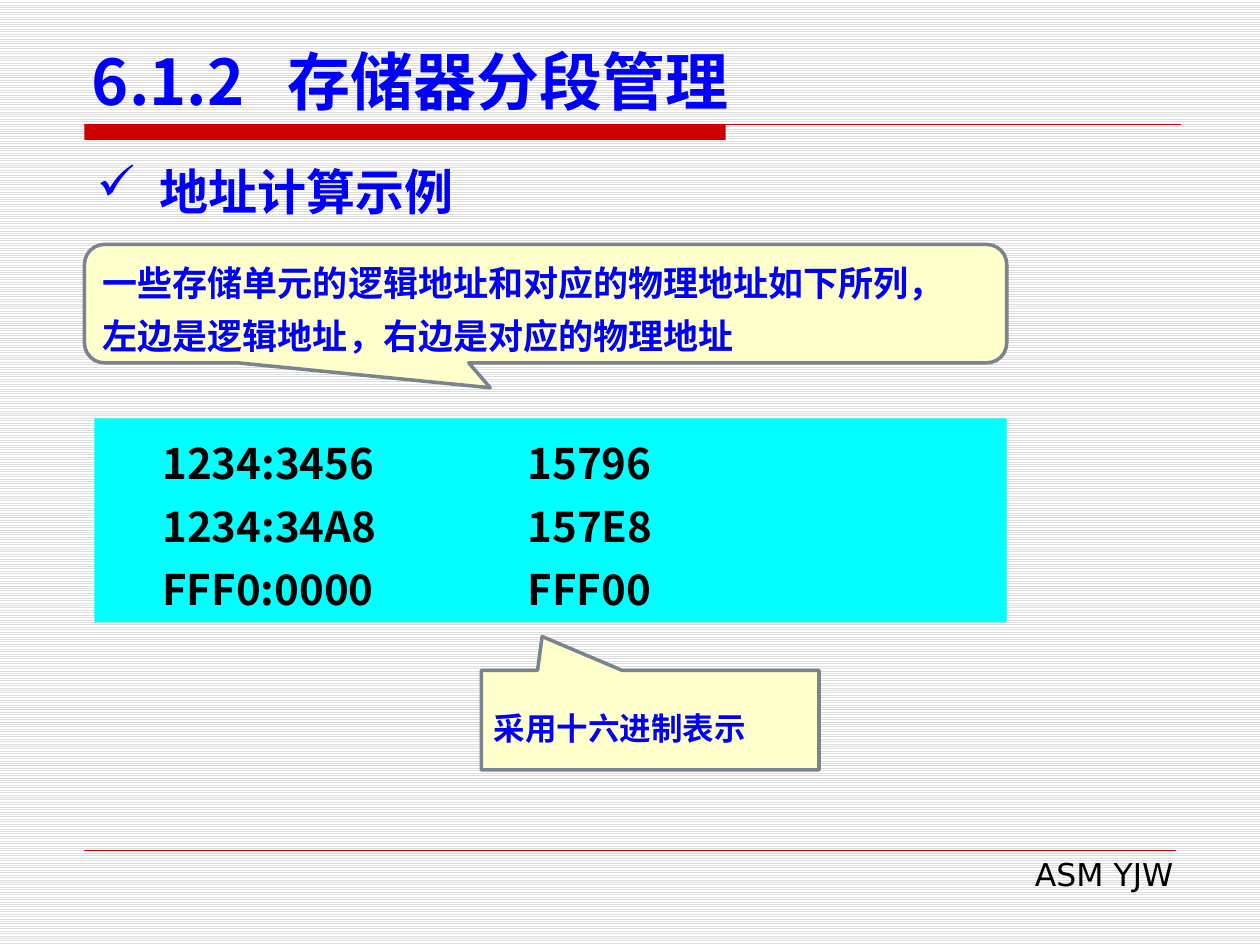
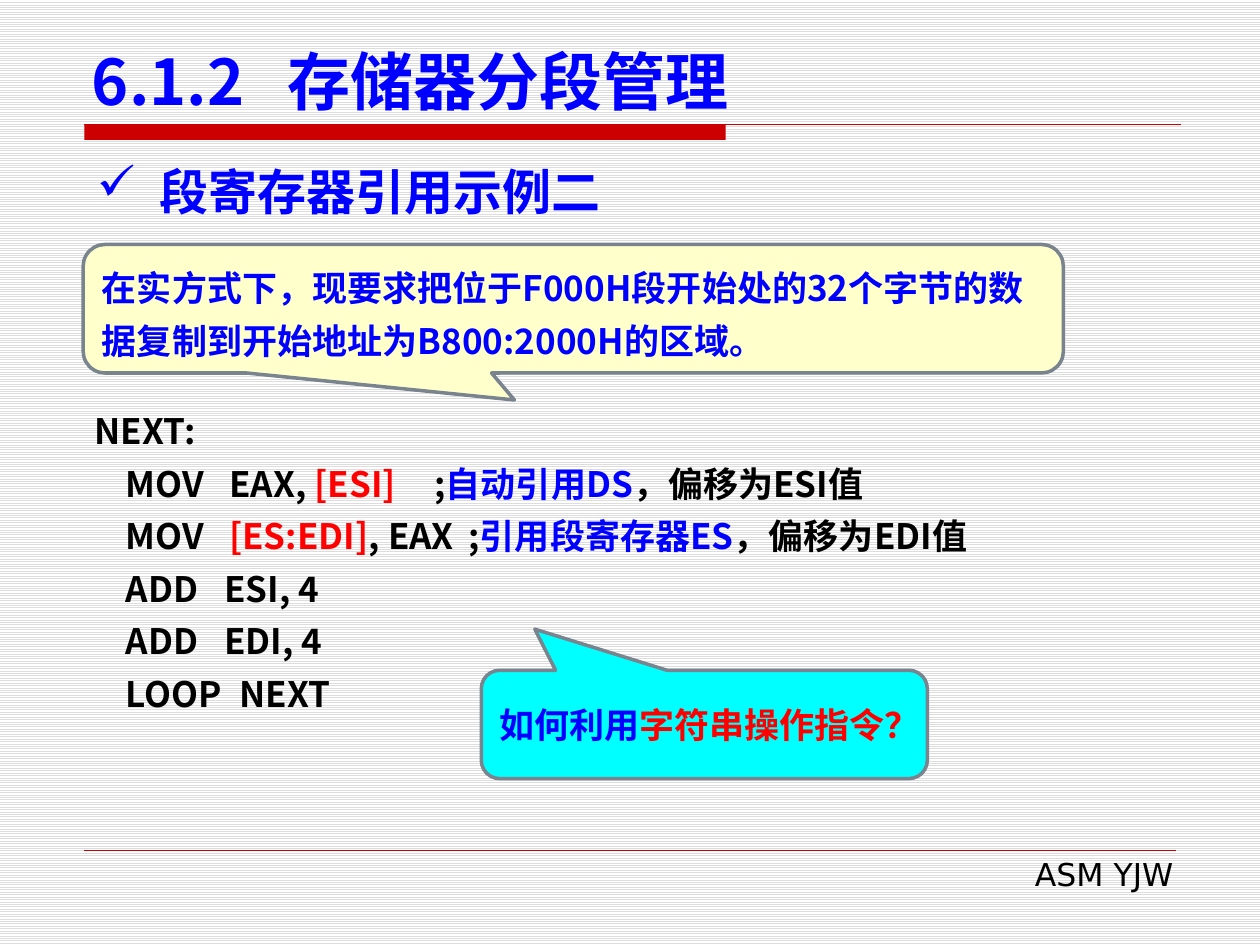
from lxml.etree import SubElement
from pptx import Presentation
from pptx.dml.color import RGBColor
from pptx.enum.dml import MSO_PATTERN
from pptx.enum.shapes import MSO_CONNECTOR, MSO_SHAPE as Shape
from pptx.enum.text import MSO_ANCHOR as Anchor, MSO_AUTO_SIZE as Fit, PP_ALIGN as Align
from pptx.oxml.ns import qn
from pptx.util import Pt

EMU_PER_PX = 9144  # 100 px to the inch
COLORS = {
    "blue": "0000FF", "red": "FF0000", "black": "000000", "rule": "CC0000",
    "cream": "FFFFCC", "cyan": "00FFFF", "edge": "79848F",
    "stripe": "DDDDDD", "paper": "FFFFFF",
}
SANS, CJK = "DejaVu Sans", "Noto Sans CJK SC"
TITLE = "6.1.2\t存储器分段管理"


def px(*lengths):
    return [length * EMU_PER_PX for length in lengths]


def rgb(name):
    return RGBColor.from_string(COLORS[name])


def set_format(target, values):
    for name, value in values.items():
        setattr(target, name, value)


class Deck:
    """Holds the shared style and the slide being filled."""

    def __init__(self):
        self.prs = Presentation()
        self.prs.slide_width, self.prs.slide_height = px(1000, 750)
        self.slide = None

    def start(self, title, topic):
        self.slide = self.prs.slides.add_slide(self.prs.slide_layouts[5])
        backdrop = self.slide.background.fill
        backdrop.patterned()
        backdrop.pattern = MSO_PATTERN.LIGHT_HORIZONTAL
        backdrop.fore_color.rgb, backdrop.back_color.rgb = rgb("stripe"), rgb("paper")

        # Title with its red band
        heading = self.slide.shapes.title
        set_format(heading, dict(zip(("left", "top", "width", "height"), px(63, 33, 875, 66))))
        self.put_text(heading, [title], size=36, color="blue", anchor=Anchor.BOTTOM, stops=[155])
        self.box(Shape.RECTANGLE, (67, 99, 509, 12), "rule")
        self.rule(67, 937, 99, 0.75)

        # Footer
        self.rule(67, 933, 675, 0.25)
        self.text((382, 674, 559, 40), ["ASM YJW"], size=18, font=SANS, bold=False,
                  align=Align.RIGHT, before=50)

        # Topic line
        self.text((67, 123, 866, 57), [topic], size=28, font=SANS, color="blue",
                  align=Align.JUSTIFY, before=50, bullet="✓")

    def rule(self, left, right, y, weight):
        line = self.slide.shapes.add_connector(MSO_CONNECTOR.STRAIGHT, *px(left, y, right, y))
        line.line.color.rgb = rgb("rule")
        line.line.width = Pt(weight)
        SubElement(line._element.spPr, qn("a:effectLst"))

    def box(self, kind, at, fill, edge=None, adjust=()):
        shape = self.slide.shapes.add_shape(kind, *px(*at))
        shape.shadow.inherit = False
        shape.fill.solid()
        shape.fill.fore_color.rgb = rgb(fill)
        if edge:
            shape.line.color.rgb = rgb(edge)
            shape.line.width = Pt(2)
        else:
            shape.line.fill.background()
        for index, value in enumerate(adjust):
            shape.adjustments[index] = value
        return shape

    def callout(self, kind, at, pointer, paragraphs, fill="cream", **style):
        shape = self.box(kind, at, fill, "edge", pointer)
        style = {"color": "blue", "anchor": Anchor.MIDDLE, **style}
        self.put_text(shape, paragraphs, **style)

    def text(self, at, paragraphs, **style):
        frame = self.slide.shapes.add_textbox(*px(*at))
        self.put_text(frame, paragraphs, fit=Fit.SHAPE_TO_FIT_TEXT, **style)

    def put_text(self, shape, paragraphs, size=20, font=CJK, color="black", bold=True,
                 align=Align.LEFT, anchor=Anchor.TOP, fit=Fit.NONE, leading=None,
                 before=None, bullet=None, stops=()):
        """A paragraph is a string or a list of strings and (string, colour) pairs."""
        frame = shape.text_frame
        set_format(frame, {"word_wrap": True, "auto_size": fit, "vertical_anchor": anchor})
        for index, runs in enumerate(paragraphs):
            para = frame.add_paragraph() if index else frame.paragraphs[0]
            set_format(para, {"alignment": align,
                              "line_spacing": Pt(leading) if leading else None})
            props = para._p.get_or_add_pPr()
            if before:
                spacing = SubElement(props, qn("a:spcBef"))
                SubElement(spacing, qn("a:spcPct"), val=str(before * 1000))
            if bullet:
                indent = 50 * EMU_PER_PX
                props.set("marL", str(indent))
                props.set("indent", str(-indent))
                SubElement(props, qn("a:buChar"), char=bullet)
            # One list of stops for all lines, or one list per line
            line_stops = stops[index] if stops and isinstance(stops[0], tuple) else stops
            if line_stops:
                tabs = SubElement(props, qn("a:tabLst"))
                for stop in px(*line_stops):
                    SubElement(tabs, qn("a:tab"), pos=str(stop), algn="l")
            for part in [runs] if isinstance(runs, str) else runs:
                words, tint = (part, color) if isinstance(part, str) else part
                run = para.add_run()
                run.text = words
                set_format(run.font, {"size": Pt(size), "bold": bold, "name": font})
                run.font.color.rgb = rgb(tint)
                SubElement(run._r.get_or_add_rPr(), qn("a:ea"), typeface=CJK)


def address_slide(deck):
    deck.start(TITLE, "地址计算示例")

    # Logical and physical addresses
    addresses = [("1234:3456", "15796"), ("1234:34A8", "157E8"), ("FFF0:0000", "FFF00")]
    panel = deck.box(Shape.RECTANGLE, (75, 332, 724, 162), "cyan")
    deck.put_text(panel, [f"\t{logical}\t{physical}" for logical, physical in addresses],
                  size=24, leading=36, stops=[44, 334], fit=Fit.SHAPE_TO_FIT_TEXT)

    # Explanations
    deck.callout(Shape.RECTANGULAR_CALLOUT, (382, 532, 268, 79), (-0.32, -0.84),
                 ["采用十六进制表示"], size=18, font=SANS, leading=30)
    deck.callout(Shape.ROUNDED_RECTANGULAR_CALLOUT, (67, 194, 732, 94), (-0.06, 0.71, 0.17),
                 ["一些存储单元的逻辑地址和对应的物理地址如下所列，",
                  "左边是逻辑地址，右边是对应的物理地址"], leading=30)


def register_slide(deck):
    deck.start(TITLE, "段寄存器引用示例二")

    # Copy loop, each line with its tab stops
    listing = [
        ((25,), "NEXT:"),
        ((25, 107, 270), ["\tMOV\tEAX, ", ("[ESI]", "red"), "\t;",
                          ("自动引用DS", "blue"), "，偏移为ESI值"]),
        ((25, 107, 297), ["\tMOV\t", ("[ES:EDI]", "red"), ", EAX\t;",
                          ("引用段寄存器ES", "blue"), "，偏移为EDI值"]),
        ((25, 103), "\tADD\tESI, 4"),
        ((25, 103), "\tADD\tEDI, 4"),
        ((25, 115), "\tLOOP\tNEXT"),
    ]
    stops, code = zip(*listing)
    deck.text((65, 312, 945, 263), code, leading=30, stops=stops)

    # Question and task
    deck.callout(Shape.ROUNDED_RECTANGULAR_CALLOUT, (382, 532, 354, 86), (-0.38, -0.88, 0.17),
                 [["如何利用", ("字符串操作指令？", "red")]], fill="cyan")
    deck.callout(Shape.ROUNDED_RECTANGULAR_CALLOUT, (66, 194, 778, 102), (-0.06, 0.71, 0.17),
                 ["在实方式下，现要求把位于F000H段开始处的32个字节的"
                  "数据复制到开始地址为B800:2000H的区域。"], leading=30)


def main():
    deck = Deck()
    address_slide(deck)
    register_slide(deck)
    deck.prs.save("out.pptx")


if __name__ == "__main__":
    main()
